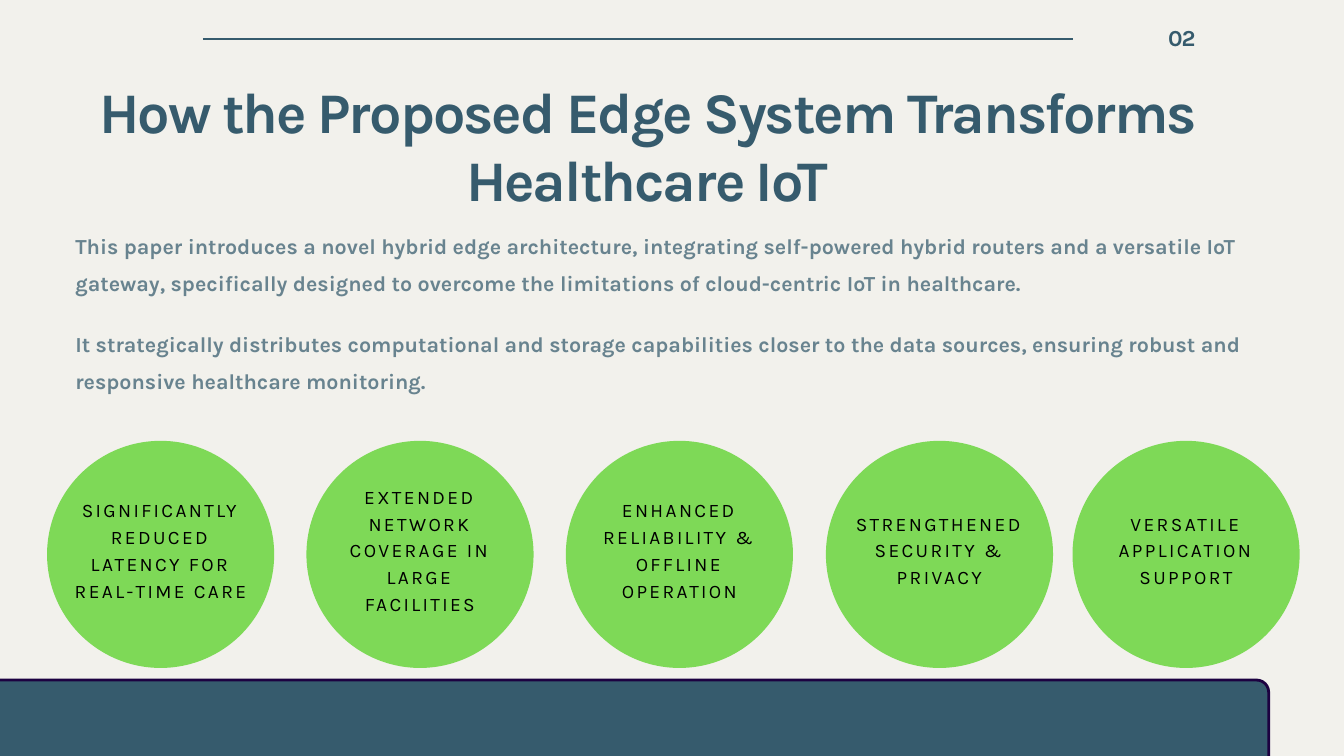
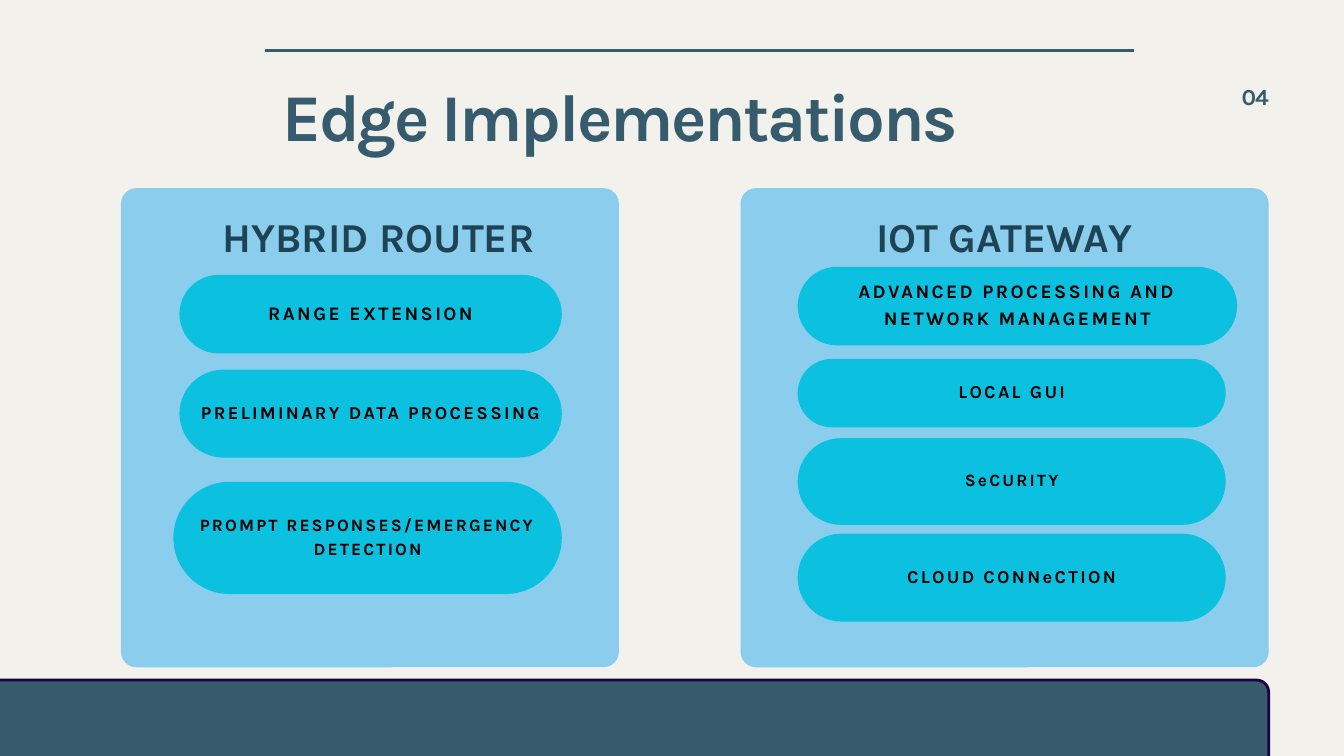
from dataclasses import dataclass, replace

from lxml import etree
from pptx import Presentation
from pptx.dml.color import RGBColor
from pptx.enum.shapes import MSO_CONNECTOR, MSO_SHAPE
from pptx.enum.text import MSO_ANCHOR, MSO_AUTO_SIZE, PP_ALIGN
from pptx.oxml.ns import qn
from pptx.util import Inches, Pt

LEFT, CENTER, RIGHT = PP_ALIGN.LEFT, PP_ALIGN.CENTER, PP_ALIGN.RIGHT
TOP, MIDDLE = MSO_ANCHOR.TOP, MSO_ANCHOR.MIDDLE
OVAL, ROUNDED = MSO_SHAPE.OVAL, MSO_SHAPE.ROUNDED_RECTANGLE
STRAIGHT = MSO_CONNECTOR.STRAIGHT
TITLE_ONLY = 5

# Shared look
FONT = "Karla"
PAPER, SLATE, NAVY, INK = "F2F1EC", "365B6D", "1D4355", "000000"
BAND_LINE, GREEN, SKY, CYAN = "1C0140", "7ED957", "4FB8EE", "0CC0DF"


@dataclass(frozen=True)
class TextStyle:
    size: float
    color: str
    bold: bool = True
    align: int = CENTER
    leading: float = 1.4     # line pitch as a multiple of the size
    tracking: float = 0      # letter spacing as a multiple of the size
    alpha: int = 100


@dataclass(frozen=True)
class Box:
    left: float
    top: float
    width: float
    height: float

    def emu(self) -> tuple:
        return tuple(Inches(v) for v in (self.left, self.top, self.width, self.height))


@dataclass(frozen=True)
class Pill:
    text: str
    box: Box
    size: float


@dataclass(frozen=True)
class Panel:
    heading: str
    box: Box
    heading_left: float
    pills: tuple


TITLE = TextStyle(61.5, SLATE, leading=1.19, tracking=-0.035)
NUMBER = TextStyle(24.6, SLATE, align=RIGHT, leading=0.96, tracking=-0.05)
BODY = TextStyle(23, SLATE, align=LEFT, leading=1.7, alpha=72)
HEADING = TextStyle(44, NAVY)
LABEL = TextStyle(20.5, INK, tracking=0.125)


# Formatting helpers
def set_color(target, color: str, alpha: int = 100) -> None:
    """Colour a fill (made solid first) or a font's fill."""
    target.solid()
    target.fore_color.rgb = RGBColor.from_string(color)
    if alpha < 100:
        clr = target._xPr.find(qn("a:solidFill")).find(qn("a:srgbClr"))
        etree.SubElement(clr, qn("a:alpha"), val=str(alpha * 1000))


def write(shape, text: str, style: TextStyle, anchor=TOP, inset: float = 0,
          lift: float = 0) -> None:
    tf = shape.text_frame
    tf.word_wrap = True
    tf.auto_size = MSO_AUTO_SIZE.NONE
    tf.vertical_anchor = anchor
    tf.margin_left = tf.margin_right = tf.margin_top = Inches(inset)
    tf.margin_bottom = Inches(inset + lift)
    p = tf.paragraphs[0]
    p.text = text
    p.alignment = style.align
    p.line_spacing = Pt(round(style.size * style.leading, 1))
    font = p.font
    font.name, font.size, font.bold = FONT, Pt(style.size), style.bold
    set_color(font.fill, style.color, style.alpha)
    font._element.set("spc", str(round(style.size * style.tracking * 100)))


# Drawing helpers
def add_text(slide, box: Box, text: str, style: TextStyle, **layout) -> None:
    write(slide.shapes.add_textbox(*box.emu()), text, style, **layout)


def add_block(slide, kind, box: Box, color: str, radius: float = 0, alpha: int = 100):
    sp = slide.shapes.add_shape(kind, *box.emu())
    sp.shadow.inherit = False
    set_color(sp.fill, color, alpha)
    sp.line.fill.background()
    if radius:
        sp.adjustments[0] = radius / min(box.width, box.height)
    return sp


def add_rule(slide, left: float, right: float, y: float) -> None:
    line = slide.shapes.add_connector(STRAIGHT, Inches(left), Inches(y),
                                      Inches(right), Inches(y))
    set_color(line.line.fill, SLATE)
    line.line.width = Pt(3)
    etree.SubElement(line._element.spPr, qn("a:effectLst"))


def add_slide(prs, title: str, title_box: Box, style: TextStyle, number: str,
              number_at: tuple, rule: tuple):
    """Title, page number, top rule and bottom band."""
    slide = prs.slides.add_slide(prs.slide_layouts[TITLE_ONLY])
    sp = slide.shapes.title
    sp.left, sp.top, sp.width, sp.height = title_box.emu()
    write(sp, title, style)
    add_rule(slide, *rule)
    band = add_block(slide, ROUNDED, Box(-1.08, 10.12, 19.96, 2.06), SLATE, 0.18)
    set_color(band.line.fill, BAND_LINE)
    band.line.width = Pt(3)
    add_text(slide, Box(*number_at, 0.93, 0.34), number, NUMBER)
    return slide


# Slide content
INTRO = (
    "This paper introduces a novel hybrid edge architecture, integrating self-powered "
    "hybrid routers and a versatile IoT gateway, specifically designed to overcome the "
    "limitations of cloud-centric IoT in healthcare.",
    "It strategically distributes computational and storage capabilities closer to the "
    "data sources, ensuring robust and responsive healthcare monitoring.",
)
BENEFITS = (
    (0.7, "SIGNIFICANTLY REDUCED LATENCY FOR REAL-TIME CARE"),
    (4.56, "EXTENDED NETWORK COVERAGE IN LARGE FACILITIES"),
    (8.42, "ENHANCED RELIABILITY & OFFLINE OPERATION"),
    (12.29, "STRENGTHENED SECURITY & PRIVACY"),
    (15.96, "VERSATILE APPLICATION SUPPORT"),
)
PANELS = (
    Panel("HYBRID ROUTER", Box(1.8, 2.8, 7.41, 7.13), 2.91, (
        Pill("RANGE EXTENSION", Box(2.67, 4.09, 5.69, 1.17), 20.5),
        Pill("PRELIMINARY DATA PROCESSING", Box(2.67, 5.5, 5.69, 1.31), 19.5),
        Pill("PROMPT RESPONSES/EMERGENCY DETECTION", Box(2.58, 7.17, 5.78, 1.67), 18.5),
    )),
    Panel("IOT GATEWAY", Box(11.02, 2.8, 7.86, 7.13), 12.22, (
        Pill("ADVANCED PROCESSING AND NETWORK MANAGEMENT",
             Box(11.87, 3.97, 6.54, 1.17), 20.5),
        Pill("LOCAL GUI", Box(11.87, 5.34, 6.37, 1.02), 19.5),
        Pill("SeCURITY", Box(11.87, 6.52, 6.37, 1.29), 18.5),
        Pill("CLOUD CONNeCTION", Box(11.87, 7.94, 6.37, 1.31), 19.5),
    )),
)


def build_benefits(prs) -> None:
    slide = add_slide(prs, "How the Proposed Edge System Transforms Healthcare IoT",
                      Box(0.11, 1.14, 19.04, 3.03), TITLE,
                      "02", (16.86, 0.44), (3.02, 15.96, 0.58))
    for i, text in enumerate(INTRO):
        add_text(slide, Box(1.12, 3.31 + 1.46 * i, 17.75, 1.59), text, BODY)
    for left, text in BENEFITS:
        add_block(slide, OVAL, Box(left, 6.56, 3.38, 3.38), GREEN)
        add_text(slide, Box(left + 0.32, 6.71, 2.74, 2.9), text,
                 replace(LABEL, bold=False), anchor=MIDDLE, inset=0.06)


def build_implementations(prs) -> None:
    slide = add_slide(prs, "Edge Implementations", Box(4.2, 1.12, 12.69, 1.19),
                      replace(TITLE, size=71.5, align=LEFT),
                      "04", (17.95, 1.31), (3.95, 16.88, 0.75))
    for panel in PANELS:
        add_block(slide, ROUNDED, panel.box, SKY, 0.23, alpha=63)
        add_text(slide, Box(panel.heading_left, 3.03, 5.45, 0.83), panel.heading, HEADING)
        for pill in panel.pills:
            sp = add_block(slide, ROUNDED, pill.box, CYAN, pill.box.height / 2)
            write(sp, pill.text, replace(LABEL, size=pill.size), MIDDLE, lift=0.1)


def main() -> None:
    prs = Presentation()
    prs.slide_width, prs.slide_height = Inches(20), Inches(11.25)
    set_color(prs.slide_master.background.fill, PAPER)
    build_benefits(prs)
    build_implementations(prs)
    prs.save("out.pptx")


if __name__ == "__main__":
    main()
